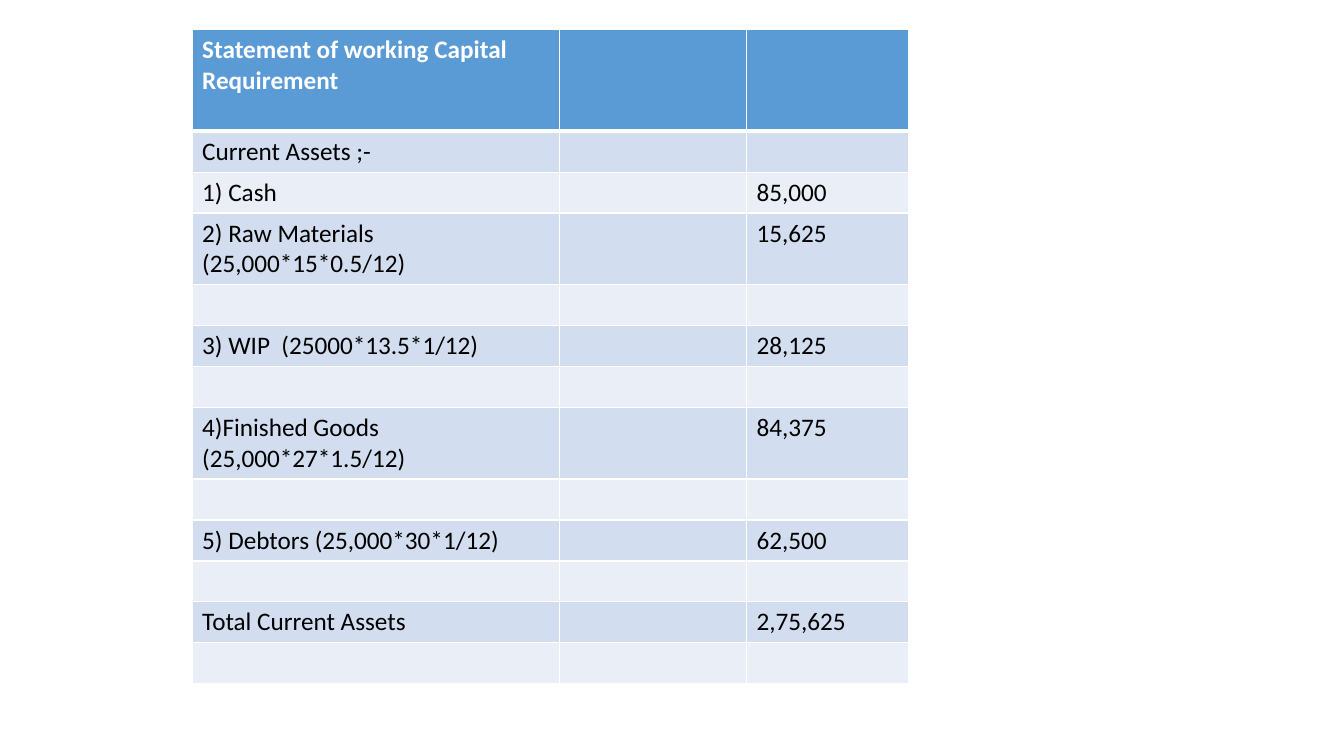
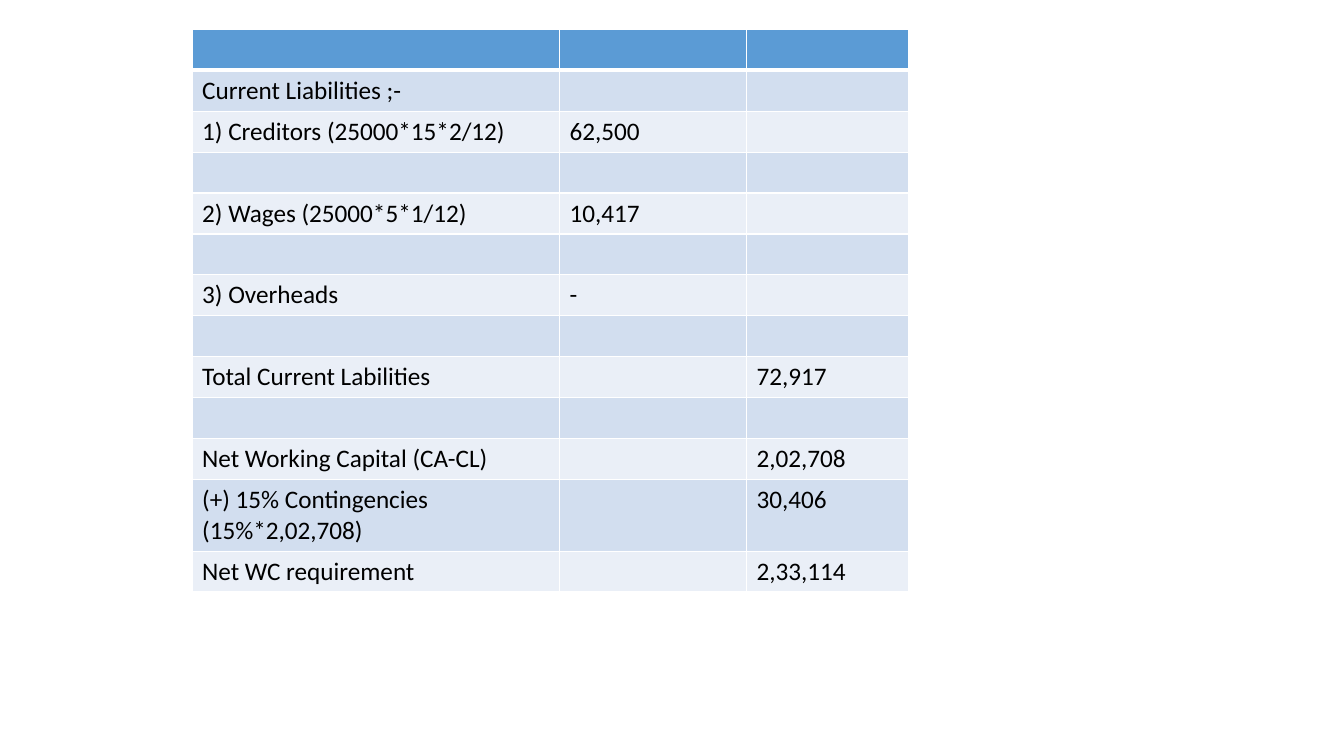
"""Build two slides that state a working capital requirement."""
from pptx import Presentation
from pptx.dml.color import RGBColor
from pptx.oxml.ns import qn
from pptx.util import Pt
from lxml.etree import SubElement

PX = 9525
SLIDE_SIZE = 1280, 720
LEFT, TOP = 183, 28
COLUMNS = 350, 178, 154
LINE_HEIGHT, CELL_PADDING = 29, 10

FONT, TEXT_SIZE = "Calibri", 18
WHITE, BLACK = "FFFFFF", "000000"
HEADER, BANDS = "5B9BD5", ("D2DEEF", "EAEFF7")

BLANK = (1, "", "", "")
# Each row: lines of text, item, inner amount, outer amount
ASSETS = [
    (3, "Statement of working Capital Requirement", "", ""),
    (1, "Current Assets ;-", "", ""),
    (1, "1) Cash", "", "85,000"),
    (2, "2) Raw Materials (25,000*15*0.5/12)", "", "15,625"),
    BLANK,
    (1, "3) WIP  (25000*13.5*1/12)", "", "28,125"),
    BLANK,
    (2, "4)Finished Goods (25,000*27*1.5/12)", "", "84,375"),
    BLANK,
    (1, "5) Debtors (25,000*30*1/12)", "", "62,500"),
    BLANK,
    (1, "Total Current Assets", "", "2,75,625"),
    BLANK,
]
LIABILITIES = [
    BLANK,
    (1, "Current Liabilities ;-", "", ""),
    (1, "1) Creditors (25000*15*2/12)", "62,500", ""),
    BLANK,
    (1, "2) Wages (25000*5*1/12)", "10,417", ""),
    BLANK,
    (1, "3) Overheads", "-", ""),
    BLANK,
    (1, "Total Current Labilities", "", "72,917"),
    BLANK,
    (1, "Net Working Capital (CA-CL)", "", "2,02,708"),
    (2, "(+) 15% Contingencies (15%*2,02,708)", "", "30,406"),
    (1, "Net WC requirement", "", "2,33,114"),
]


def color(value):
    return RGBColor.from_string(value)


def add_borders(cell, top, bottom):
    properties = cell._tc.get_or_add_tcPr()
    for side, width in (("L", 1), ("R", 1), ("T", top), ("B", bottom)):
        border = SubElement(properties, qn(f"a:ln{side}"), w=str(Pt(width)))
        SubElement(SubElement(border, qn("a:solidFill")), qn("a:srgbClr"), val=WHITE)


def fill_cell(cell, text, row_index):
    is_header = row_index == 0
    add_borders(cell, top=3 if row_index == 1 else 1, bottom=3 if is_header else 1)
    cell.fill.solid()
    cell.fill.fore_color.rgb = color(HEADER if is_header else BANDS[(row_index - 1) % 2])
    paragraph = cell.text_frame.paragraphs[0]
    paragraph.font.size = Pt(TEXT_SIZE)
    if text:
        run = paragraph.add_run()
        run.text = text
        run.font.name, run.font.size = FONT, Pt(TEXT_SIZE)
        run.font.bold = is_header
        run.font.color.rgb = color(WHITE if is_header else BLACK)


def add_statement(slide, rows):
    heights = [CELL_PADDING + LINE_HEIGHT * lines for lines, *_ in rows]
    box = LEFT, TOP, sum(COLUMNS), sum(heights)
    statement = slide.shapes.add_table(
        len(rows), len(COLUMNS), *(length * PX for length in box)).table
    for column, width in zip(statement.columns, COLUMNS):
        column.width = width * PX
    for row_index, (_, *texts) in enumerate(rows):
        statement.rows[row_index].height = heights[row_index] * PX
        for column_index, text in enumerate(texts):
            fill_cell(statement.cell(row_index, column_index), text, row_index)


def main():
    deck = Presentation()
    deck.slide_width, deck.slide_height = (length * PX for length in SLIDE_SIZE)
    for rows in (ASSETS, LIABILITIES):
        add_statement(deck.slides.add_slide(deck.slide_layouts[6]), rows)
    deck.save("out.pptx")


if __name__ == "__main__":
    main()
